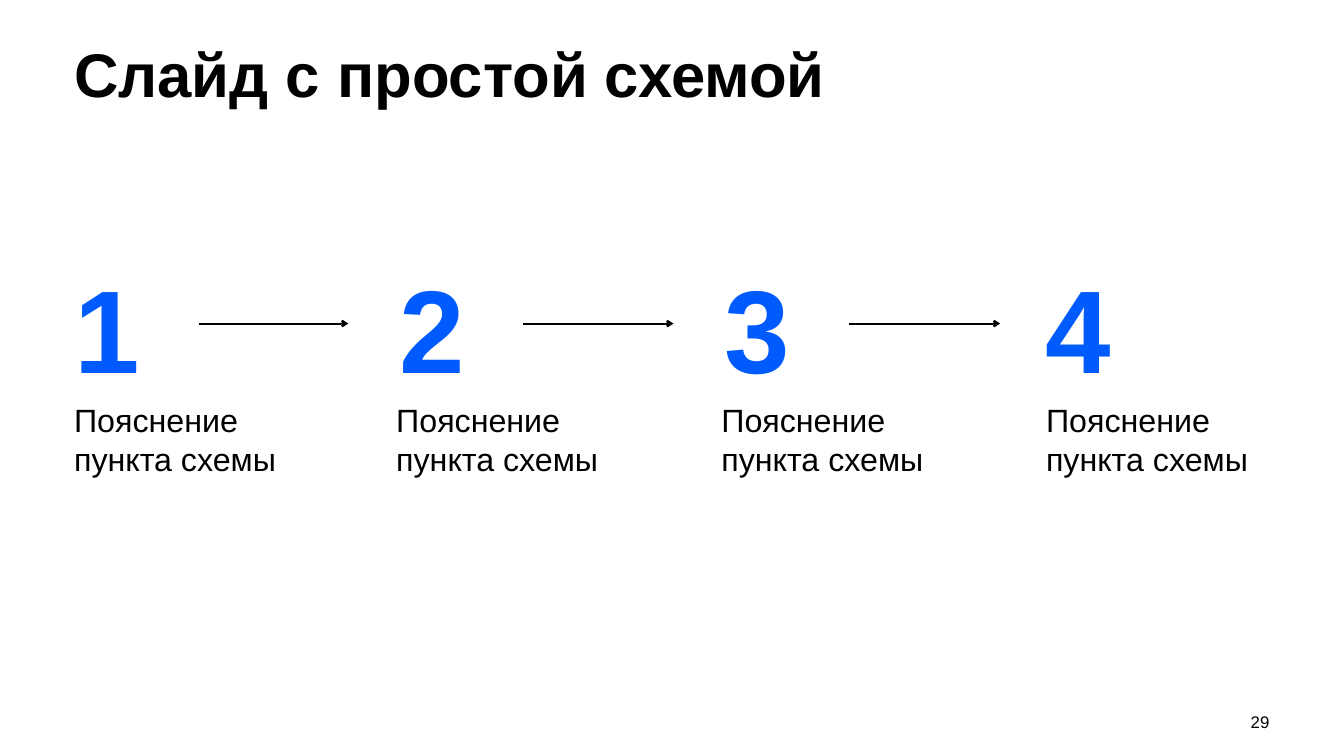
from lxml import etree
from pptx import Presentation
from pptx.dml.color import RGBColor
from pptx.enum.shapes import MSO_CONNECTOR
from pptx.enum.text import MSO_ANCHOR, MSO_AUTO_SIZE, PP_ALIGN
from pptx.oxml.ns import qn
from pptx.util import Inches, Pt

TOP, MIDDLE, BOTTOM = MSO_ANCHOR.TOP, MSO_ANCHOR.MIDDLE, MSO_ANCHOR.BOTTOM
LEFT, RIGHT = PP_ALIGN.LEFT, PP_ALIGN.RIGHT
STRAIGHT = MSO_CONNECTOR.STRAIGHT
NO_FIT = MSO_AUTO_SIZE.NONE
BLACK, BLUE = "000000", "005BFF"
COMPARISON_LAYOUT = 4


def rgb(value):
    return RGBColor.from_string(value)


def write(shape, text, box, size, color=BLACK, bold=False, inset=0,
          anchor=TOP, align=LEFT, line_spacing=1.0, space_after=0):
    for name, value in zip(("left", "top", "width", "height"), box):
        setattr(shape, name, Inches(value))
    frame = shape.text_frame
    frame.text = text
    frame_format = {
        "word_wrap": True, "auto_size": NO_FIT, "vertical_anchor": anchor,
        "margin_left": 0, "margin_right": 0, "margin_bottom": 0,
        "margin_top": Inches(inset),
    }
    for name, value in frame_format.items():
        setattr(frame, name, value)
    paragraph = frame.paragraphs[0]
    properties = paragraph._p.get_or_add_pPr()
    properties.set("marL", "0")
    properties.set("indent", "0")
    etree.SubElement(properties, qn("a:buNone"))
    paragraph_format = {
        "alignment": align, "line_spacing": line_spacing,
        "space_before": Pt(0), "space_after": Pt(space_after),
    }
    for name, value in paragraph_format.items():
        setattr(paragraph, name, value)
    font = paragraph.runs[0].font
    for name, value in {"name": "Arial", "size": Pt(size), "bold": bold}.items():
        setattr(font, name, value)
    font.color.rgb = rgb(color)


presentation = Presentation()
presentation.slide_width = Inches(26.66)
presentation.slide_height = Inches(15)
slide = presentation.slides.add_slide(presentation.slide_layouts[COMPARISON_LAYOUT])

write(slide.shapes.title, "Слайд с простой схемой", (1.47, 0.49, 23.7, 2.4), 88,
      bold=True, inset=0.39, line_spacing=0.9)

page_number = slide.shapes.add_textbox(0, 0, 0, 0)
write(page_number, "29", (23.19, 14.04, 1.99, 0.48), 24, anchor=BOTTOM, align=RIGHT)

steps = [
    (1.48, 1.47, 4.94),
    (7.93, 7.86, 4.98),
    (14.38, 14.31, 4.95),
    (20.74, 20.75, 4.44),
]
bodies = list(slide.placeholders)[1:]
for number, (body, step) in enumerate(zip(bodies, steps), start=1):
    number_left, body_left, body_width = step
    write(body, "Пояснение пункта схемы", (body_left, 7.76, body_width, 3.86), 46,
          inset=0.18, space_after=16.9)
    digit = slide.shapes.add_textbox(0, 0, 0, 0)
    write(digit, str(number), (number_left, 5.4, 2.47, 1.99), 168, color=BLUE,
          bold=True, inset=0.17, anchor=MIDDLE, space_after=12.6)

arrow_top = Inches(6.42)
for start, end in [(3.94, 6.91), (10.37, 13.36), (16.85, 19.84)]:
    arrow = slide.shapes.add_connector(
        STRAIGHT, Inches(start), arrow_top, Inches(end), arrow_top)
    arrow.line.color.rgb = rgb(BLACK)
    arrow.line.width = Pt(3)
    etree.SubElement(arrow.line._get_or_add_ln(), qn("a:tailEnd"), type="arrow")
    etree.SubElement(arrow._element.spPr, qn("a:effectLst"))

presentation.save("out.pptx")
